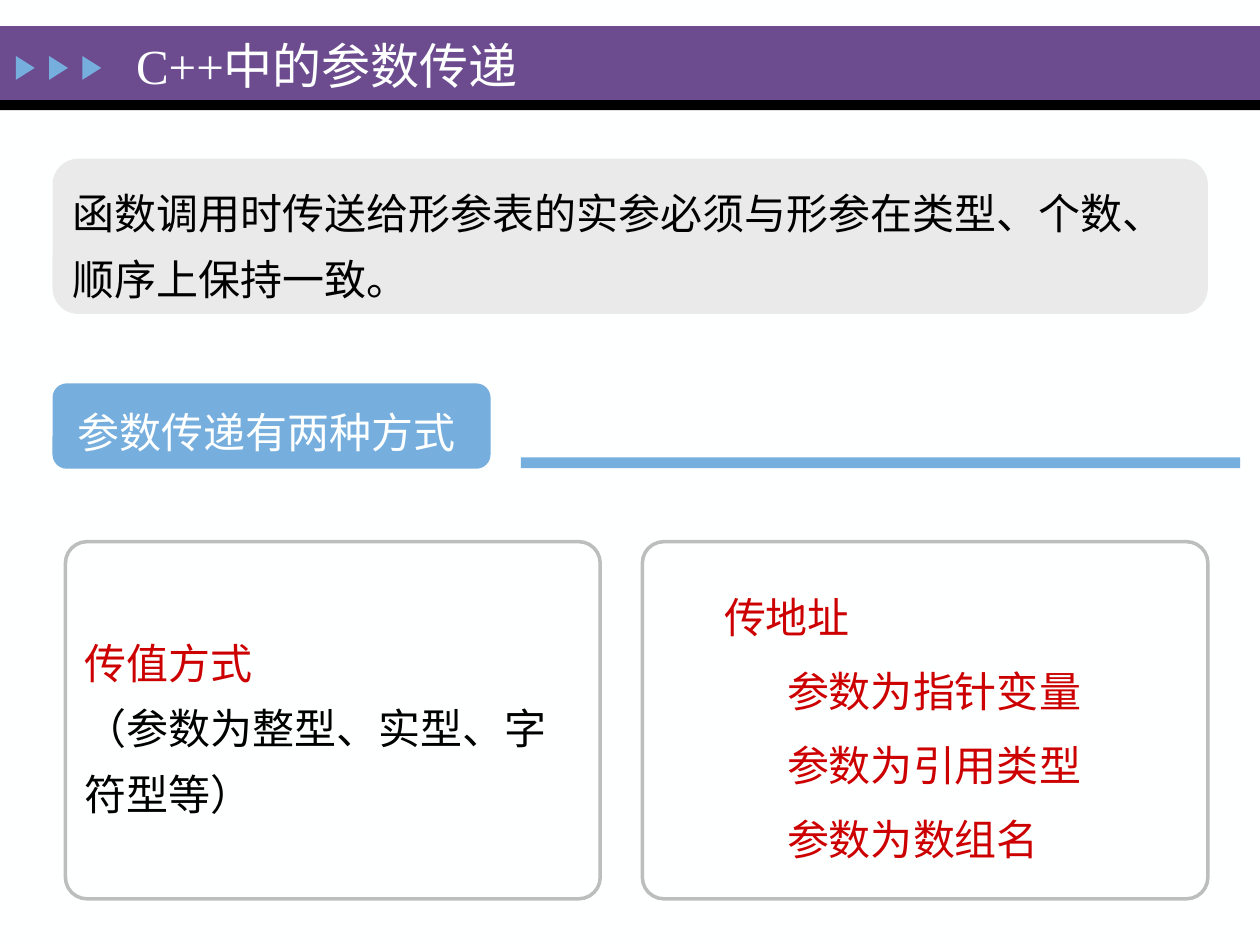
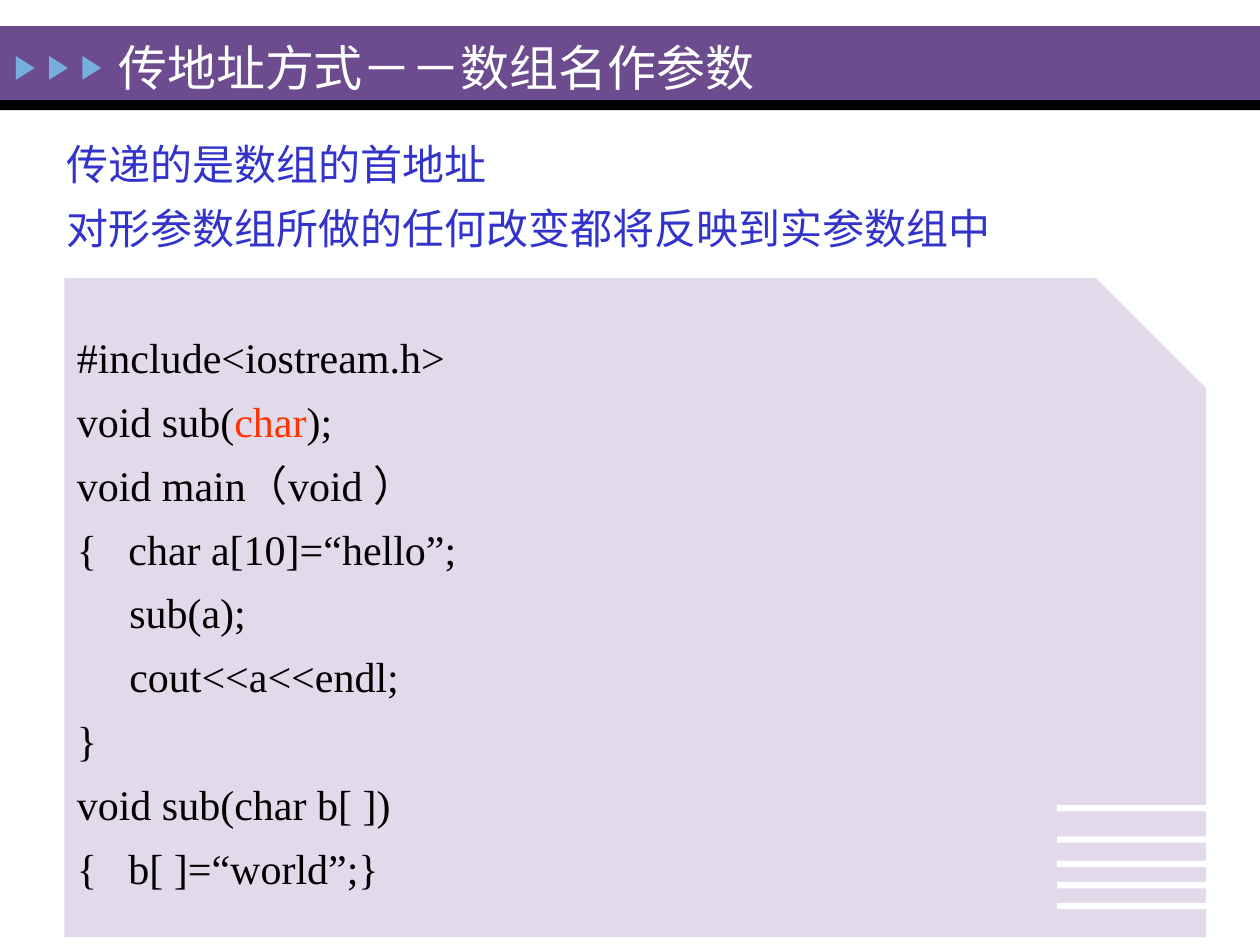
from pptx import Presentation
from pptx.dml.color import RGBColor
from pptx.enum import shapes, text
from pptx.util import Cm, Pt

FONT = "Times New Roman"
PURPLE, BLUE, WHITE, BLACK = "6C4C8F", "76AEDD", "FEFFFF", "000000"
RED, ORANGE, INDIGO = "CC0000", "FF3300", "3333CC"
GREY, SILVER, LILAC = "EAEAEA", "BCBDBD", "E2D9EB"
RECT = shapes.MSO_SHAPE.RECTANGLE
ROUND = shapes.MSO_SHAPE.ROUNDED_RECTANGLE
TOP, MIDDLE = text.MSO_ANCHOR.TOP, text.MSO_ANCHOR.MIDDLE
rgb = RGBColor.from_string


def add_box(s, kind, left, top, width, height, fill, line=None):
    sp = s.shapes.add_shape(kind, Cm(left), Cm(top), Cm(width), Cm(height))
    sp.shadow.inherit = False
    sp.fill.solid()
    sp.fill.fore_color.rgb = rgb(fill)
    if line:
        sp.line.color.rgb = rgb(line)
        sp.line.width = Pt(2)
    else:
        sp.line.fill.background()
    return sp


def write(sp, lines, color, size=24, spacing=1.0, gap=0, anchor=TOP):
    """Fill a shape; a line is a string or a list of (text, colour or None) runs.

    A run of "\\n" becomes a line break within the paragraph.
    """
    tf = sp.text_frame
    tf.word_wrap = True
    tf.auto_size = text.MSO_AUTO_SIZE.NONE
    tf.vertical_anchor = anchor
    for i, line in enumerate(lines):
        p = tf.add_paragraph() if i else tf.paragraphs[0]
        p.alignment = text.PP_ALIGN.LEFT
        p.line_spacing = spacing
        p.space_before = Pt(gap if i else 0)
        p.font.name, p.font.size = FONT, Pt(size)
        p.font.color.rgb = rgb(color)
        for part, part_color in [(line, None)] if isinstance(line, str) else line:
            if part == "\n":
                p.add_line_break()
                continue
            r = p.add_run()
            r.text = part
            if part_color:
                r.font.color.rgb = rgb(part_color)
    return tf


prs = Presentation()
prs.slide_width, prs.slide_height = Cm(25.4), Cm(19.05)
layout = prs.slide_layouts[5]

# Shared background, title band and arrows, moved to the layout
fill = prs.slide_master.background.fill
fill.solid()
fill.fore_color.rgb = rgb(WHITE)
s1, s2 = [prs.slides.add_slide(layout) for _ in range(2)]
band = [add_box(s1, RECT, 0, 0.53, 25.4, 1.49, PURPLE),
        add_box(s1, RECT, 0, 2.02, 25.4, 0.2, BLACK)]
for i in range(3):
    arrow = add_box(s1, shapes.MSO_SHAPE.ISOSCELES_TRIANGLE,
                    0.27 + 0.67 * i, 1.18, 0.48, 0.38, BLUE)
    arrow.rotation = 90
    band.append(arrow)
for i, sp in enumerate(band):
    layout.shapes._spTree.insert(2 + i, sp._element)

# Titles
for s, title, left, top in [(s1, "C++中的参数传递", 2.49, 0.13),
                            (s2, "传地址方式－－数组名作参数", 2.13, 0.16)]:
    sp = s.shapes.title
    sp.left, sp.top, sp.width, sp.height = Cm(left), Cm(top), Cm(17), Cm(2.36)
    write(sp, [title], WHITE, size=28, anchor=MIDDLE)

# Slide 1: rule for arguments
sp = add_box(s1, ROUND, 1.06, 3.2, 23.29, 3.13, GREY)
write(sp, ["函数调用时传送给形参表的实参必须与形参在类型、个数、顺序上保持一致。"],
      BLACK, spacing=1.3)

# Slide 1: section label and rule line
sp = add_box(s1, ROUND, 1.06, 7.73, 8.83, 1.72, BLUE)
tf = write(sp, ["参数传递有两种方式"], WHITE, spacing=1.3)
tf.margin_left, tf.margin_top = Cm(0.42), Cm(0.08)
add_box(s1, RECT, 10.5, 9.22, 14.5, 0.22, BLUE)

# Slide 1: the two ways of passing
by_value = [("传值方式", RED), ("\n", None), ("（参数为整型、实型、字符型等）", None)]
cards = [(1.32, 10.78, [by_value], BLACK),
         (12.95, 11.4, ["传地址", "参数为指针变量", "参数为引用类型", "参数为数组名"], RED)]
for left, width, lines, color in cards:
    sp = add_box(s1, ROUND, left, 10.92, width, 7.2, WHITE, SILVER)
    sp.adjustments[0] = 0.06
    tf = write(sp, lines, color, spacing=1.3, gap=5, anchor=MIDDLE)
for i, p in enumerate(tf.paragraphs):
    p._p.get_or_add_pPr().set("marL", str(Cm(2.54 if i else 1.27)))

# Slide 2: key points
sp = s2.shapes.add_textbox(Cm(1.09), Cm(2.82), Cm(23.2), Cm(2.5))
write(sp, ["传递的是数组的首地址", "对形参数组所做的任何改变都将反映到实参数组中"],
      INDIGO, spacing=0.85, gap=12)

# Slide 2: code panel
code = ["#include<iostream.h>",
        [("void sub(", None), ("char", ORANGE), (");", None)],
        "void main（void ）",
        "{   char a[10]=“hello”;",
        "     sub(a);",
        "     cout<<a<<endl;",
        "}",
        "void sub(char b[ ])",
        "{   b[ ]=“world”;}"]
sp = add_box(s2, shapes.MSO_SHAPE.SNIP_1_RECTANGLE, 1.3, 5.61, 23.01, 13.28, LILAC)
write(sp, code, BLACK, spacing=0.85, gap=12)

# Slide 2: stripes in the panel corner
for top in (16.23, 16.86, 17.35, 17.78, 18.2):
    add_box(s2, RECT, 21.31, top, 3, 0.13, WHITE)

prs.save("out.pptx")
